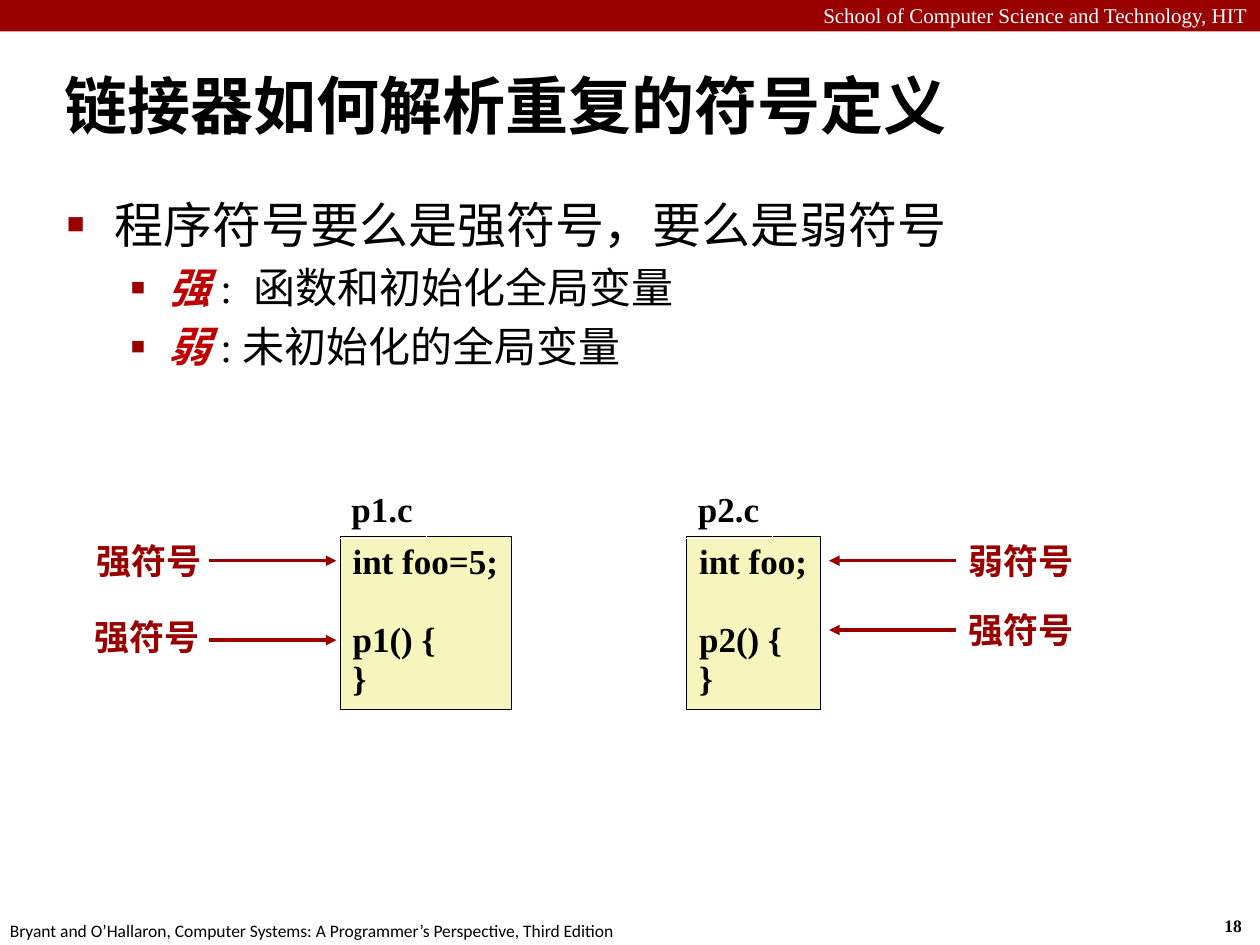
"""Builds a slide on how a linker resolves duplicate symbol definitions."""
from lxml import etree
from pptx import Presentation
from pptx.dml.color import RGBColor
from pptx.enum.shapes import MSO_CONNECTOR, MSO_SHAPE
from pptx.enum.text import MSO_ANCHOR, MSO_AUTO_SIZE, PP_ALIGN
from pptx.oxml.ns import qn
from pptx.util import Inches, Pt

RECT, STRAIGHT = MSO_SHAPE.RECTANGLE, MSO_CONNECTOR.STRAIGHT
LEFT, RIGHT = PP_ALIGN.LEFT, PP_ALIGN.RIGHT
TOP, MIDDLE = MSO_ANCHOR.TOP, MSO_ANCHOR.MIDDLE
NO_FIT = MSO_AUTO_SIZE.NONE
COLORS = {"red": "990000", "strong": "C00000", "cream": "F6F5BD",
          "black": "000000", "white": "FFFFFF"}
SERIF, SANS = "Times New Roman", "Calibri"


def color(name):
    """Return the named colour."""
    return RGBColor.from_string(COLORS[name])


def write(sp, lines, size, ink="black", bold=True, font=SERIF, align=LEFT, spacing=None, wrap=False):
    """Fill a shape with equally formatted paragraphs."""
    tf = sp.text_frame
    tf.word_wrap, tf.auto_size, tf.vertical_anchor = wrap, NO_FIT, TOP
    tf.text = "\n".join(lines)
    for p in tf.paragraphs:
        p.alignment = align
        p.line_spacing = spacing
        p.font.size, p.font.name, p.font.bold = Pt(size), font, bold
        p.font.color.rgb = color(ink)


prs = Presentation()
prs.slide_width, prs.slide_height = Inches(10), Inches(7.5)
s = prs.slides.add_slide(prs.slide_layouts[1])
shapes = s.shapes

band = shapes.add_shape(RECT, 0, 0, Inches(10), Inches(0.25))
band.shadow.inherit = False
band.fill.solid()
band.fill.fore_color.rgb = color("red")
band.line.fill.background()

school = shapes.add_textbox(0, Inches(-0.03), Inches(10), Inches(0.3))
write(school, ["School of Computer Science and Technology, HIT"], 12, "white", False, align=RIGHT, wrap=True)
number = shapes.add_textbox(Inches(9.62), Inches(7.21), Inches(0.37), Inches(0.27))
write(number, ["18"], 10)
credit = shapes.add_textbox(Inches(-0.02), Inches(7.25), Inches(5.08), Inches(0.27))
write(credit, ["Bryant and O’Hallaron, Computer Systems: A Programmer’s Perspective, Third Edition"],
      10, bold=False, font=SANS)

title = shapes.title
title.left, title.top, title.width, title.height = Inches(0.41), Inches(0.41), Inches(9.51), Inches(0.83)
write(title, ["链接器如何解析重复的符号定义"], 36, font=SANS, wrap=True)
title.text_frame.vertical_anchor = MIDDLE

body = s.placeholders[1]
body.left, body.top, body.width, body.height = Inches(0.43), Inches(1.49), Inches(9.4), Inches(5.76)
tf = body.text_frame
tf.word_wrap, tf.auto_size = True, NO_FIT
bullets = [
    (0, "", "程序符号要么是强符号，要么是弱符号"),
    (1, "强 ", ":  函数和初始化全局变量"),
    (1, "弱 ", ": 未初始化的全局变量"),
]
levels = [(28, 0.38, 0.38, "■", 60), (24, 0.81, 0.31, "▪", 110)]
for i, (level, term, text) in enumerate(bullets):
    size, margin, hang, char, percent = levels[level]
    p = tf.add_paragraph() if i else tf.paragraphs[0]
    p.level = level
    p.font.size, p.font.name = Pt(size), SERIF
    p.font.color.rgb = color("black")
    if term:
        r = p.add_run()
        r.text = term
        r.font.bold = r.font.italic = True
        r.font.color.rgb = color("strong")
    p.add_run().text = text
    pPr = p._p.get_or_add_pPr()
    pPr.set("marL", str(Inches(margin)))
    pPr.set("indent", str(-Inches(hang)))
    tint = etree.Element(qn("a:buClr"))
    etree.SubElement(tint, qn("a:srgbClr"), val=COLORS["red"])
    scale = etree.Element(qn("a:buSzPct"), val=str(percent * 1000))
    mark = etree.Element(qn("a:buChar"), char=char)
    for offset, element in enumerate((tint, scale, mark)):
        pPr.insert(offset, element)

files = [
    ("p1.c", 2.7, 1.36, ["int foo=5;", "p1() {", "}"]),
    ("p2.c", 5.45, 1.06, ["int foo;", "p2() {", "}"]),
]
for name, x, width, code in files:
    boxes = [(x, 4.26, width, 1.37, code, "cream", "black"),
             (x - 0.01, 3.85, 0.69, 0.42, [name], None, "white")]
    for left, top, w, h, lines, fill, edge in boxes:
        sp = shapes.add_shape(RECT, Inches(left), Inches(top), Inches(w), Inches(h))
        sp.shadow.inherit = False
        if fill:
            sp.fill.solid()
            sp.fill.fore_color.rgb = color(fill)
        else:
            sp.fill.background()
        sp.line.color.rgb = color(edge)
        sp.line.width = Pt(0.25)
        write(sp, lines, 20, spacing=0.94)
        if lines is code:
            sp.text_frame.paragraphs[1].space_before = Pt(22)

symbols = [
    ("强符号", 0.67, 4.25, 1.66, 2.67, 4.45),
    ("强符号", 0.65, 4.85, 1.66, 2.67, 5.08),
    ("弱符号", 7.59, 4.25, 7.59, 6.58, 4.45),
    ("强符号", 7.59, 4.8, 7.59, 6.58, 5),
]
for text, x, y, start, end, level in symbols:
    label = shapes.add_textbox(Inches(x), Inches(y), Inches(1.04), Inches(0.43))
    write(label, [text], 20, "red", spacing=0.98)
    arrow = shapes.add_connector(STRAIGHT, Inches(start), Inches(level), Inches(end), Inches(level))
    arrow.line.color.rgb = color("red")
    arrow.line.width = Pt(2)
    etree.SubElement(arrow.line._get_or_add_ln(), qn("a:tailEnd"), type="triangle")
    etree.SubElement(arrow._element.spPr, qn("a:effectLst"))

prs.save("out.pptx")
